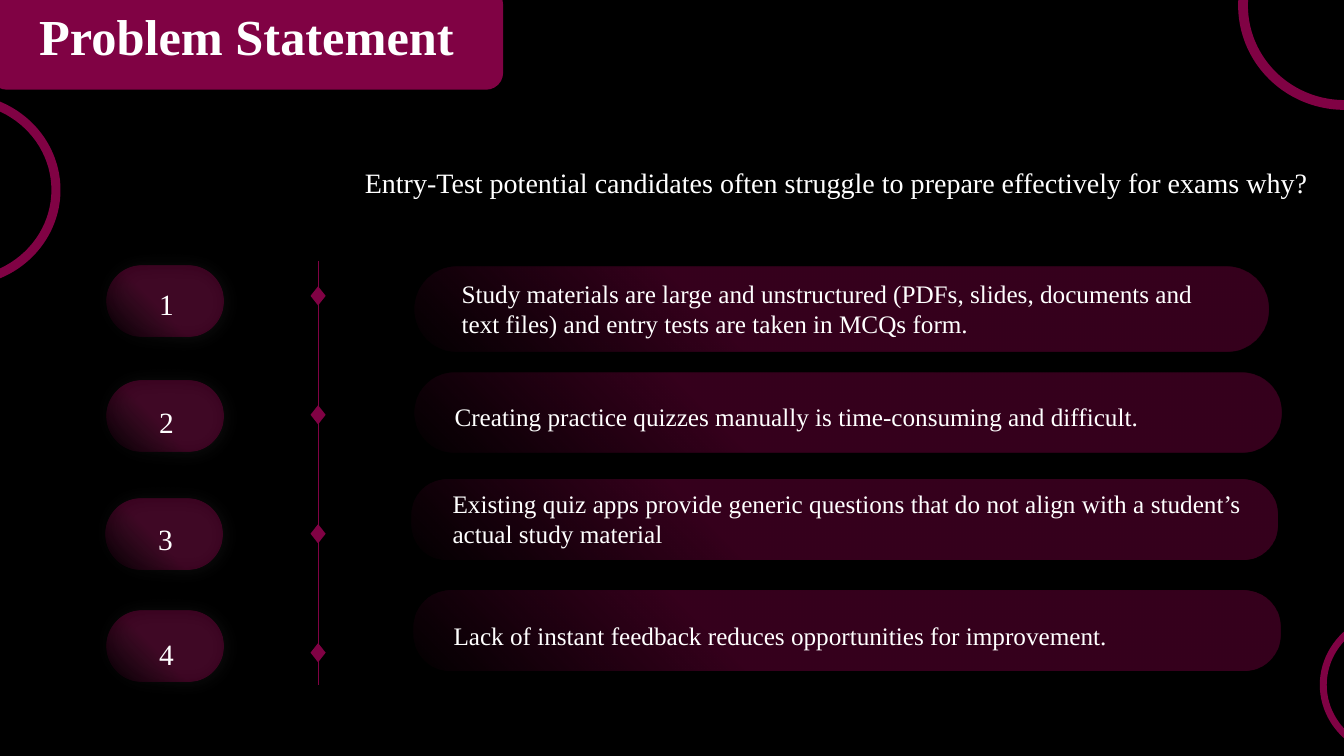
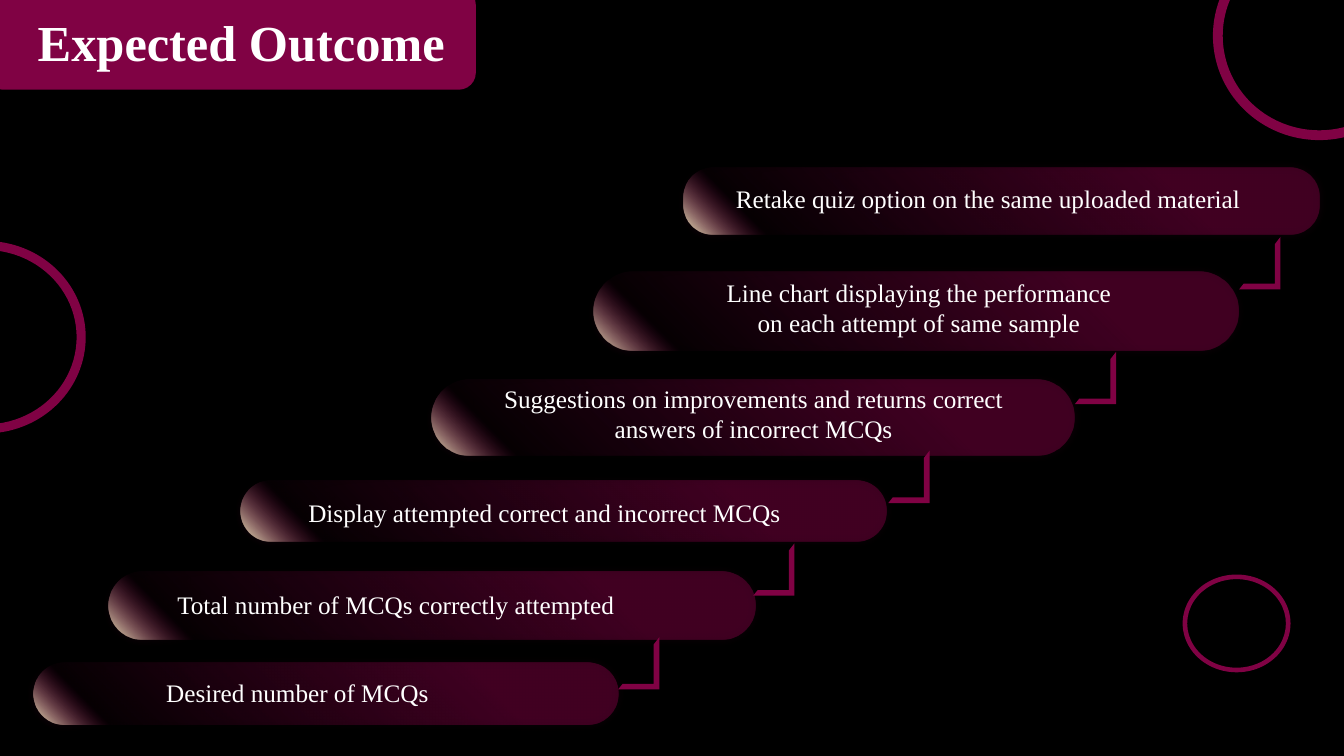
import pptx
import pptx.util
import pptx.dml.color
import pptx.enum.shapes
import pptx.enum.text
import pptx.oxml.ns
from lxml import etree

Inches = pptx.util.Inches
Shape = pptx.enum.shapes.MSO_SHAPE
Align = pptx.enum.text.PP_ALIGN
BLACK = pptx.dml.color.RGBColor(0x00, 0x00, 0x00)
WHITE = pptx.dml.color.RGBColor(0xFF, 0xFF, 0xFF)
PLUM = pptx.dml.color.RGBColor(0x80, 0x02, 0x44)
CREAM = pptx.dml.color.RGBColor(0xFF, 0xFF, 0xCC)
SILVER = pptx.dml.color.RGBColor(0xBF, 0xBF, 0xBF)
FONT = "Times New Roman"

REASON_FADE = [(0, BLACK, 100), (2, PLUM, 4), (36, PLUM, 42)]
BADGE_FADE = [(0, BLACK, 100), (2, PLUM, 4), (44, PLUM, 43)]
STEP_FADE = [(0, CREAM, 100), (12, PLUM, 4), (76, PLUM, 45)]
BADGE_SHADOW = (SILVER, 19, 14, 1, 45)
STEP_SHADOW = (PLUM, 20, 6, 0, 225)

REASONS = [
    ((4.11, 2.65, 8.47, 0.84), 0.5, (0.37, 0.06, 7.68, 1.04), Align.LEFT, 1,
     "Study materials are large and unstructured (PDFs, slides, documents and "
     "text files) and entry tests are taken in MCQs form."),
    ((4.11, 3.7, 8.6, 0.79), 0.5, (0.3, 0.08, 8.28, 0.5), Align.JUSTIFY, 1.5,
     "Creating practice quizzes manually is time-consuming and difficult."),
    ((4.08, 4.76, 8.59, 0.79), 0.44, (0.31, 0.03, 8.02, 0.71), Align.JUSTIFY, 1,
     "Existing quiz apps provide generic questions that do not align with a "
     "student’s actual study material"),
    ((4.1, 5.86, 8.6, 0.79), 0.46, (0.3, 0.09, 7.33, 0.5), Align.JUSTIFY, 1.5,
     "Lack of instant feedback reduces opportunities for improvement."),
]
BADGES = [(1.06, 2.64, -0.03), (1.06, 3.78, 0.01), (1.05, 4.95, 0), (1.06, 6.06, 0.03)]
STEPS = [
    ((0.33, 6.57, 5.8, 0.62), 0.5, (1.22, 0.1, 4.59, 0.4), Align.LEFT,
     ["Desired number of MCQs"]),
    ((1.08, 5.67, 6.41, 0.67), 0.5, (0.58, 0.13, 4.88, 0.4), Align.LEFT,
     ["Total number of MCQs correctly attempted"]),
    ((2.39, 4.77, 6.4, 0.6), 0.5, (0.57, 0.11, 5.87, 0.4), Align.LEFT,
     ["Display attempted correct and incorrect MCQs"]),
    ((4.28, 3.77, 6.38, 0.75), 0.5, (0.58, -0.02, 5.23, 0.71), Align.CENTER,
     ["Suggestions on improvements and returns correct answers of incorrect MCQs"]),
    ((5.89, 2.69, 6.39, 0.79), 0.5, (-0.16, 0.01, 6.77, 0.71), Align.CENTER,
     ["Line chart displaying the performance", "on each attempt of same sample"]),
    ((6.78, 1.66, 6.31, 0.67), 0.44, (0.42, 0.11, 5.6, 0.4), Align.LEFT,
     ["Retake quiz option on the same uploaded material"]),
]
STEP_CORNERS = [(6.13, 6.32), (7.47, 5.39), (8.81, 4.47), (10.66, 3.49), (12.29, 2.35)]


def add_node(parent, tag, **attributes):
    """Append a drawing element with the given attributes."""
    node = etree.SubElement(parent, pptx.oxml.ns.qn("a:" + tag))
    for name, value in attributes.items():
        node.set(name, str(value))
    return node


def add_color(parent, color, opacity):
    """Append a colour with its opacity in percent."""
    node = add_node(parent, "srgbClr", val=color)
    add_node(node, "alpha", val=opacity * 1000)


def add_figure(slide, kind, box, color=PLUM, adjustments=()):
    """Add a borderless preset shape; a colour of None leaves its fill unset."""
    shape = slide.shapes.add_shape(kind, *map(Inches, box))
    shape.shadow.inherit = False
    shape.line.fill.background()
    if color is not None:
        shape.fill.solid()
        shape.fill.fore_color.rgb = color
    for index, value in enumerate(adjustments):
        shape.adjustments[index] = value
    return shape


def add_pill(slide, box, rounding, fade, shadow=None):
    """Add a rounded bar with a diagonal fade and an optional soft shadow."""
    shape = add_figure(slide, Shape.ROUNDED_RECTANGLE, box, None, [rounding])
    properties = shape.element.spPr
    gradient = add_node(properties, "gradFill", rotWithShape=1)
    stops = add_node(gradient, "gsLst")
    for position, color, opacity in fade:
        add_color(add_node(stops, "gs", pos=position * 1000), color, opacity)
    add_node(gradient, "lin", ang=315 * 60000, scaled=0)
    properties.find(pptx.oxml.ns.qn("a:prstGeom")).addnext(gradient)
    if shadow:
        color, opacity, blur, distance, angle = shadow
        effects = properties.find(pptx.oxml.ns.qn("a:effectLst"))
        outer = add_node(effects, "outerShdw", blurRad=pptx.util.Pt(blur),
                         dist=pptx.util.Pt(distance), dir=angle * 60000,
                         algn="ctr", rotWithShape=0)
        add_color(outer, color, opacity)


def add_text(slide, box, lines, size=18, align=Align.LEFT, spacing=1, bold=False):
    """Add a wrapped white text box with one paragraph per line."""
    frame = slide.shapes.add_textbox(*map(Inches, box)).text_frame
    frame.word_wrap = True
    frame.auto_size = pptx.enum.text.MSO_AUTO_SIZE.SHAPE_TO_FIT_TEXT
    frame.text = "\n".join(lines)
    for paragraph in frame.paragraphs:
        paragraph.alignment = align
        paragraph.line_spacing = spacing
        paragraph.font.name = FONT
        paragraph.font.size = pptx.util.Pt(size)
        paragraph.font.bold = bold
        paragraph.font.color.rgb = WHITE


def inside(box, offset):
    """Place an offset box relative to the corner of another box."""
    return (box[0] + offset[0], box[1] + offset[1], *offset[2:])


def add_base(presentation, title, band, title_box, rings):
    """Add a black slide with rings and a title band."""
    slide = presentation.slides.add_slide(presentation.slide_layouts[6])
    slide.background.fill.solid()
    slide.background.fill.fore_color.rgb = BLACK
    for ring in rings:
        add_figure(slide, Shape.DONUT, ring, adjustments=[0.047])
    add_figure(slide, Shape.ROUNDED_RECTANGLE, band)
    add_text(slide, title_box, [title], 36, Align.CENTER, bold=True)
    return slide


def add_timeline(slide, left, top, height):
    """Add a thin vertical line carrying evenly spaced diamonds."""
    line = slide.shapes.add_connector(
        pptx.enum.shapes.MSO_CONNECTOR.STRAIGHT,
        Inches(left), Inches(top), Inches(left), Inches(top + height))
    line.line.color.rgb = PLUM
    line.line.width = pptx.util.Pt(0.5)
    add_node(line.element.spPr, "effectLst")
    for index in range(4):
        add_figure(slide, Shape.DIAMOND,
                   (left - 0.08, top + 0.25 + 1.18 * index, 0.15, 0.19))


def add_badge(slide, box, number, shift):
    """Add a numbered badge with its number moved down by the shift."""
    add_pill(slide, box, 0.5, BADGE_FADE, BADGE_SHADOW)
    add_text(slide, inside(box, (0.42, shift, 0.41, 0.57)), [str(number)], 21,
             Align.JUSTIFY, 1.5)


def build_problem(presentation):
    """Build the slide with four numbered reasons."""
    slide = add_base(
        presentation, "Problem Statement", (-0.1, -0.12, 5.09, 1.01),
        (-0.1, 0, 5.09, 0.71),
        [(-1.39, 0.93, 1.99, 1.91), (12.28, -0.98, 2.11, 2.07), (13.09, 6.06, 1.57, 1.47)])
    add_text(slide, (3.52, 1.59, 9.71, 0.44),
             ["Entry-Test potential candidates often struggle to prepare "
              "effectively for exams why?"], 20, Align.JUSTIFY)
    for box, rounding, offset, align, spacing, text in REASONS:
        add_pill(slide, box, rounding, REASON_FADE)
        add_text(slide, inside(box, offset), [text], 18, align, spacing)
    for number, (left, top, shift) in enumerate(BADGES, 1):
        add_badge(slide, (left, top, 1.16, 0.7), number, shift)
    add_timeline(slide, 3.16, 2.59, 4.21)


def build_outcome(presentation):
    """Build the slide with a staircase of outcomes."""
    slide = add_base(
        presentation, "Expected Outcome", (-0.14, -0.12, 4.86, 1.01),
        (-0.14, 0.06, 5.07, 0.71),
        [(-1.14, 2.39, 1.99, 1.91), (12.03, -0.68, 2.11, 2.07), (11.73, 5.7, 1.07, 0.97)])
    for box, rounding, offset, align, lines in STEPS:
        add_pill(slide, box, rounding, STEP_FADE, STEP_SHADOW)
        add_text(slide, inside(box, offset), lines, 18, align)
    for left, top in STEP_CORNERS:
        corner = add_figure(slide, Shape.HALF_FRAME, (left, top, 0.41, 0.52),
                            adjustments=[0.138, 0.138])
        corner.rotation = 180


def main():
    """Build and save the presentation."""
    presentation = pptx.Presentation()
    presentation.slide_width = Inches(13.33)
    presentation.slide_height = Inches(7.5)
    build_problem(presentation)
    build_outcome(presentation)
    presentation.save("out.pptx")


if __name__ == "__main__":
    main()
